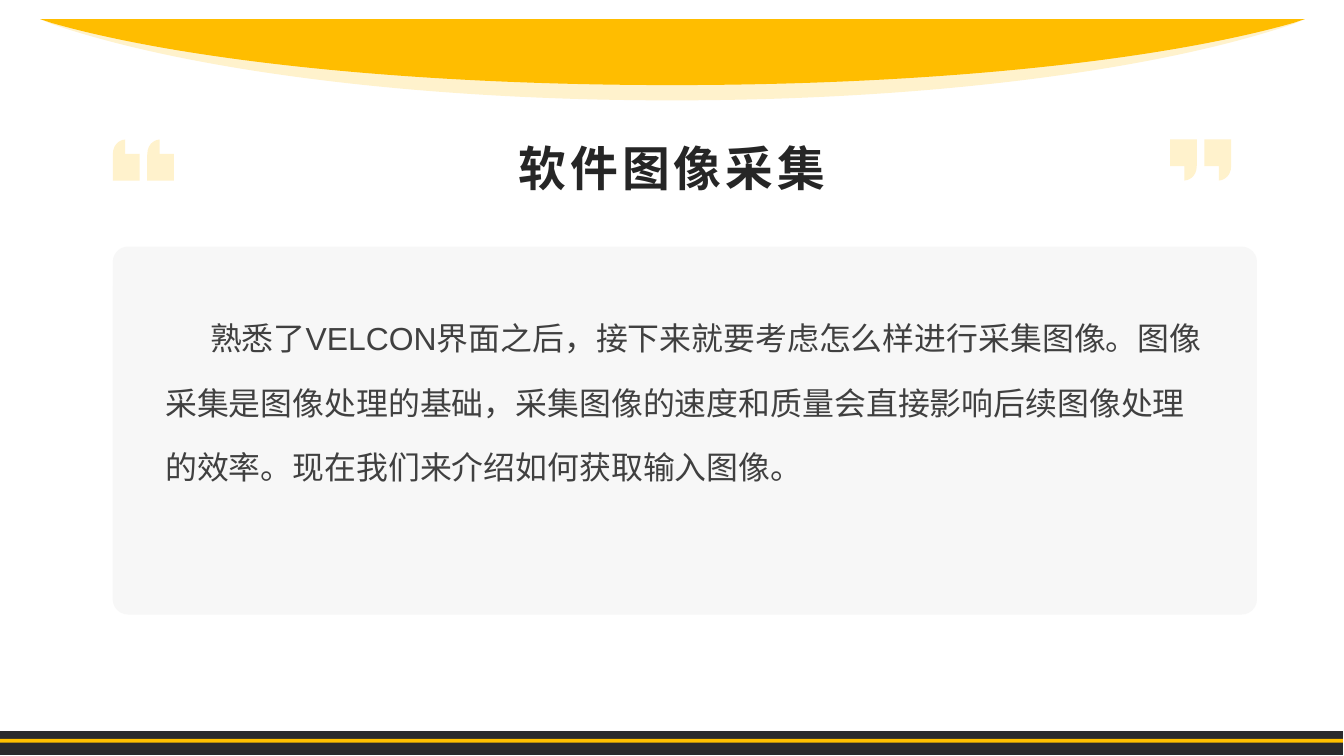
from lxml.etree import SubElement
from pptx import Presentation
from pptx.dml.color import RGBColor
from pptx.enum.shapes import MSO_SHAPE as SHAPE
from pptx.enum.text import MSO_ANCHOR as ANCHOR, MSO_AUTO_SIZE as AUTO, PP_ALIGN as ALIGN
from pptx.oxml.ns import qn
from pptx.util import Inches, Pt

WIDTH, HEIGHT = 14.06, 7.91
LATIN, CJK = "Arial", "Noto Sans CJK SC"
DARK, GOLD, CREAM = "2A2B2D", "FFC000", "FFF2CC"
TITLE = "软件图像采集"
BODY = ("熟悉了VELCON界面之后，接下来就要考虑怎么样进行采集图像。"
        "图像采集是图像处理的基础，采集图像的速度和质量会直接影响后续图像处理的效率。"
        "现在我们来介绍如何获取输入图像。")


def rgb(value):
    return RGBColor.from_string(value)


def paint(sp, color):
    sp.shadow.inherit = False
    sp.fill.solid()
    sp.fill.fore_color.rgb = rgb(color)
    sp.line.fill.background()


def add_box(s, kind, box, color):
    sp = s.shapes.add_shape(kind, *map(Inches, box))
    paint(sp, color)
    return sp


def add_card(s, box):
    sp = add_box(s, SHAPE.ROUNDED_RECTANGLE, box, "F2F2F2")
    sp.adjustments[0] = 0.042
    color = sp._element.spPr.find(qn("a:solidFill"))[0]
    SubElement(color, qn("a:alpha"), val="60000")


def bend(sp, first):
    segments = list(sp._element.iter(qn("a:lnTo")))[first:first + 3]
    curve = segments[0].makeelement(qn("a:cubicBezTo"))
    segments[0].addprevious(curve)
    for segment in segments:
        curve.append(segment[0])
        segment.getparent().remove(segment)


def add_outline(shapes, points, curves, color):
    (x, y), *rest = [(Inches(px), Inches(py)) for px, py in points]
    builder = shapes.build_freeform(x, y)
    builder.add_line_segments(rest, close=True)
    sp = builder.convert_to_shape()
    for first in sorted(curves, reverse=True):
        bend(sp, first)
    paint(sp, color)


def add_arc(s, edge, shoulder, bottom, color):
    points = [(0.42, 0.2), (13.65, 0.2), (13.53, edge),
              (12.12, shoulder), (9.74, bottom), (7.03, bottom),
              (4.33, bottom), (1.94, shoulder), (0.54, edge)]
    add_outline(s.shapes, points, (2, 5), color)


def add_quote(s, left, opening):
    top, width, height, gap = 1.46, 0.28, 0.43, 0.36
    mark = [(0, 0), (width, 0), (width, 0.27), (width, 0.41), (0.17, height),
            (0.15, height), (0.15, 0.28), (0, 0.28)]
    if opening:
        mark = [(width - dx, height - dy) for dx, dy in mark]
    group = s.shapes.add_group_shape()
    for x in (left, left + gap):
        add_outline(group.shapes, [(x + dx, top + dy) for dx, dy in mark], (2,), CREAM)


def write(sp, box, text, size, color, font, spacing):
    sp.left, sp.top, sp.width, sp.height = map(Inches, box)
    tf = sp.text_frame
    tf.word_wrap = True
    tf.auto_size = AUTO.NONE
    p = tf.paragraphs[0]
    p.text = text
    p.line_spacing = spacing
    p.font.size = Pt(size)
    p.font.name = font
    p.font.color.rgb = rgb(color)
    props = p._p.get_or_add_pPr().get_or_add_defRPr()
    SubElement(props, qn("a:ea"), typeface=CJK)
    return tf, p, props


def add_title(s):
    tf, p, props = write(s.shapes.title, (1.91, 1.25, 10.24, 0.85),
                         TITLE, 36, "262626", CJK, 1.2)
    tf.vertical_anchor = ANCHOR.BOTTOM
    p.alignment = ALIGN.CENTER
    p.font.bold = True
    props.set("spc", "300")


def add_body(s):
    sp = s.shapes.add_textbox(0, 0, 0, 0)
    tf, p, props = write(sp, (1.63, 3, 11.06, 4.06), BODY, 24, "404040", LATIN, 1.7)
    p.space_before = Pt(10)
    p._p.get_or_add_pPr().set("indent", str(Inches(0.47)))


def main():
    prs = Presentation()
    prs.slide_width, prs.slide_height = Inches(WIDTH), Inches(HEIGHT)
    s = prs.slides.add_slide(prs.slide_layouts[5])

    for top, height, color in ((7.65, 0.09, DARK), (7.73, 0.09, GOLD), (7.77, 0.13, DARK)):
        add_box(s, SHAPE.RECTANGLE, (-0.01, top, WIDTH, height), color)
    add_card(s, (1.18, 2.58, 11.97, 3.85))
    add_arc(s, 0.25, 0.73, 1.05, CREAM)
    add_title(s)
    add_body(s)
    add_arc(s, 0.24, 0.64, 0.89, "FFBD00")
    add_quote(s, 12.24, opening=False)
    add_quote(s, 1.18, opening=True)
    prs.save("out.pptx")


if __name__ == "__main__":
    main()
